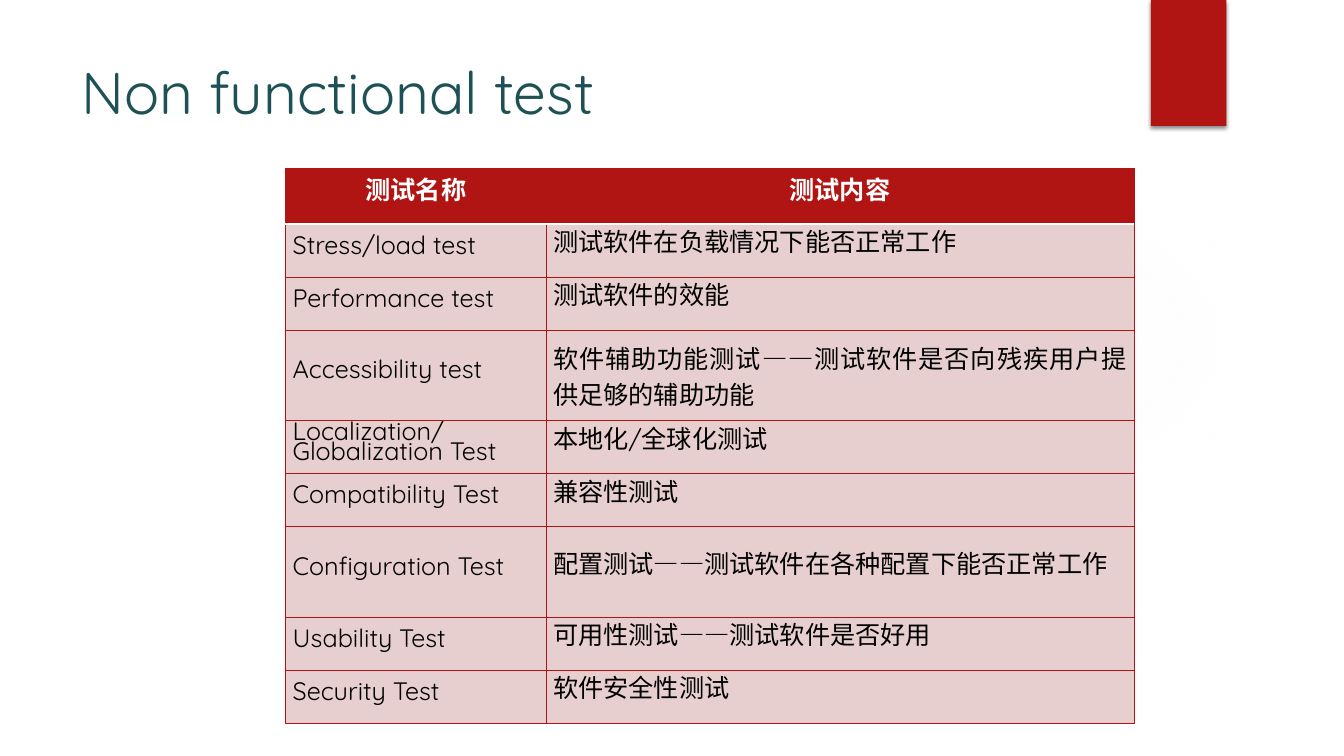
from lxml.etree import SubElement as Sub
from pptx import Presentation
from pptx.dml.color import RGBColor as RGB
from pptx.enum.shapes import MSO_SHAPE as Shape
from pptx.enum.text import MSO_ANCHOR as Anchor, PP_ALIGN as Align
from pptx.oxml.ns import qn
from pptx.util import Inches, Pt

COLORS = {
    "red": "B01513",
    "teal": "1E5155",
    "pink": "E7CFCF",
    "black": "000000",
    "white": "FFFFFF",
    "glow": "F3F3F3",
}
HEADERS = ["测试名称", "测试内容"]
TESTS = [
    ("Stress/load test", "测试软件在负载情况下能否正常工作"),
    ("Performance test", "测试软件的效能"),
    ("Accessibility test", "软件辅助功能测试——测试软件是否向残疾用户提供足够的辅助功能"),
    ("Localization/Globalization Test", "本地化/全球化测试"),
    ("Compatibility Test", "兼容性测试"),
    ("Configuration Test", "配置测试——测试软件在各种配置下能否正常工作"),
    ("Usability Test", "可用性测试——测试软件是否好用"),
    ("Security Test", "软件安全性测试"),
]
TALL_TESTS = {"Accessibility test", "Configuration Test"}
WRAPPED_TEST = "Accessibility test"


class Deck:
    font = "Quicksand"
    columns, rows = 160, 90

    def __init__(self):
        self.prs = Presentation()
        self.prs.slide_width, self.prs.slide_height = Inches(13.33), Inches(7.5)
        self.s = self.prs.slides.add_slide(self.prs.slide_layouts[6])

    def x(self, n):
        return int(self.prs.slide_width * n / self.columns)

    def y(self, n):
        return int(self.prs.slide_height * n / self.rows)

    def box(self, left, top, width, height):
        return self.x(left), self.y(top), self.x(width), self.y(height)

    def color(self, parent, name, alpha=None):
        clr = Sub(parent, qn("a:srgbClr"), val=COLORS[name])
        if alpha is not None:
            Sub(clr, qn("a:alpha"), val=str(alpha * 1000))

    def run(self, p, text, size, color, bold=False, spacing=0):
        r = p.add_run()
        r.text = text
        r.font.name, r.font.size, r.font.bold = self.font, Pt(size), bold
        r.font.color.rgb = RGB.from_string(COLORS[color])
        if spacing:
            r.font._element.set("spc", str(spacing * 100))

    def shape(self, kind, grid, fill):
        sp = self.s.shapes.add_shape(kind, *self.box(*grid))
        sp.shadow.inherit = False
        sp.fill.solid()
        sp.fill.fore_color.rgb = RGB.from_string(COLORS[fill])
        sp.line.fill.background()
        return sp

    def glow(self, grid):
        sp = self.shape(Shape.OVAL, grid, "glow")
        solid = sp._element.spPr.find(qn("a:solidFill"))
        grad = solid.makeelement(qn("a:gradFill"))
        solid.getparent().replace(solid, grad)
        stops = Sub(grad, qn("a:gsLst"))
        for pos, alpha in ((0, 7), (36, 6), (69, 0)):
            self.color(Sub(stops, qn("a:gs"), pos=str(pos * 1000)), "glow", alpha)
        center = Sub(grad, qn("a:path"), path="circle")
        Sub(center, qn("a:fillToRect"), {side: "50000" for side in "ltrb"})

    def ribbon(self, grid):
        sp = self.shape(Shape.RECTANGLE, grid, "red")
        effects = sp._element.spPr.find(qn("a:effectLst"))
        shadow = Sub(effects, qn("a:outerShdw"), blurRad=str(Pt(3)),
                     dist=str(Pt(2)), dir="5400000", rotWithShape="0")
        self.color(shadow, "black", 45)

    def title(self, grid, text):
        tf = self.s.shapes.add_textbox(*self.box(*grid)).text_frame
        tf.word_wrap = True
        self.run(tf.paragraphs[0], text, 42, "teal")

    def cell(self, cell, fill, borders):
        cell.vertical_anchor = Anchor.MIDDLE
        cell.margin_left = cell.margin_right = Inches(0.07)
        cell.margin_top = cell.margin_bottom = 0
        tcPr = cell._tc.get_or_add_tcPr()
        for side in "LRTB":
            name, width = borders.get(side, ("red", 0.75))
            ln = Sub(tcPr, qn(f"a:ln{side}"), w=str(Pt(width)))
            self.color(Sub(ln, qn("a:solidFill")), name)
        cell.fill.solid()
        cell.fill.fore_color.rgb = RGB.from_string(COLORS[fill])
        return cell.text_frame.paragraphs[0]

    def header(self, cell, text):
        p = self.cell(cell, "red", {"B": ("white", 1.5)})
        p.alignment, p.line_spacing = Align.CENTER, Pt(15)
        self.run(p, text, 18, "white", bold=True)

    def body(self, cell, text, leading, after, first):
        p = self.cell(cell, "pink", {"T": ("white", 1.5)} if first else {})
        p.alignment, p.space_after = Align.JUSTIFY, Pt(after)
        if leading:
            p.line_spacing = Pt(leading)
        before, dash, rest = text.partition("—")
        self.run(p, before, 18, "black")
        if dash:
            self.run(p, dash, 18, "black", spacing=-1)
            self.run(p, rest, 18, "black")

    def table(self, grid, widths, tests):
        frame = self.s.shapes.add_table(len(tests) + 1, len(widths), *self.box(*grid))
        table = frame.table
        for column, width in zip(table.columns, widths):
            column.width = self.x(width)
        table.rows[0].height = self.y(6.7)
        for i, text in enumerate(HEADERS):
            self.header(table.cell(0, i), text)
        for i, (name, content) in enumerate(tests, 1):
            table.rows[i].height = self.y(10.8 if name in TALL_TESTS else 6.3)
            leading = None if name == WRAPPED_TEST else 12
            self.body(table.cell(i, 0), name, 14, 0, i == 1)
            self.body(table.cell(i, 1), content, leading, 1.5, i == 1)


def main():
    deck = Deck()
    deck.glow((113, 22, 37, 37))
    deck.ribbon((137, 0, 9, 15))
    deck.title((8.5, 6, 123.5, 18.4), "Non functional test")
    deck.table((34, 20, 101, 66), (31, 70), TESTS)
    deck.prs.save("out.pptx")


if __name__ == "__main__":
    main()
